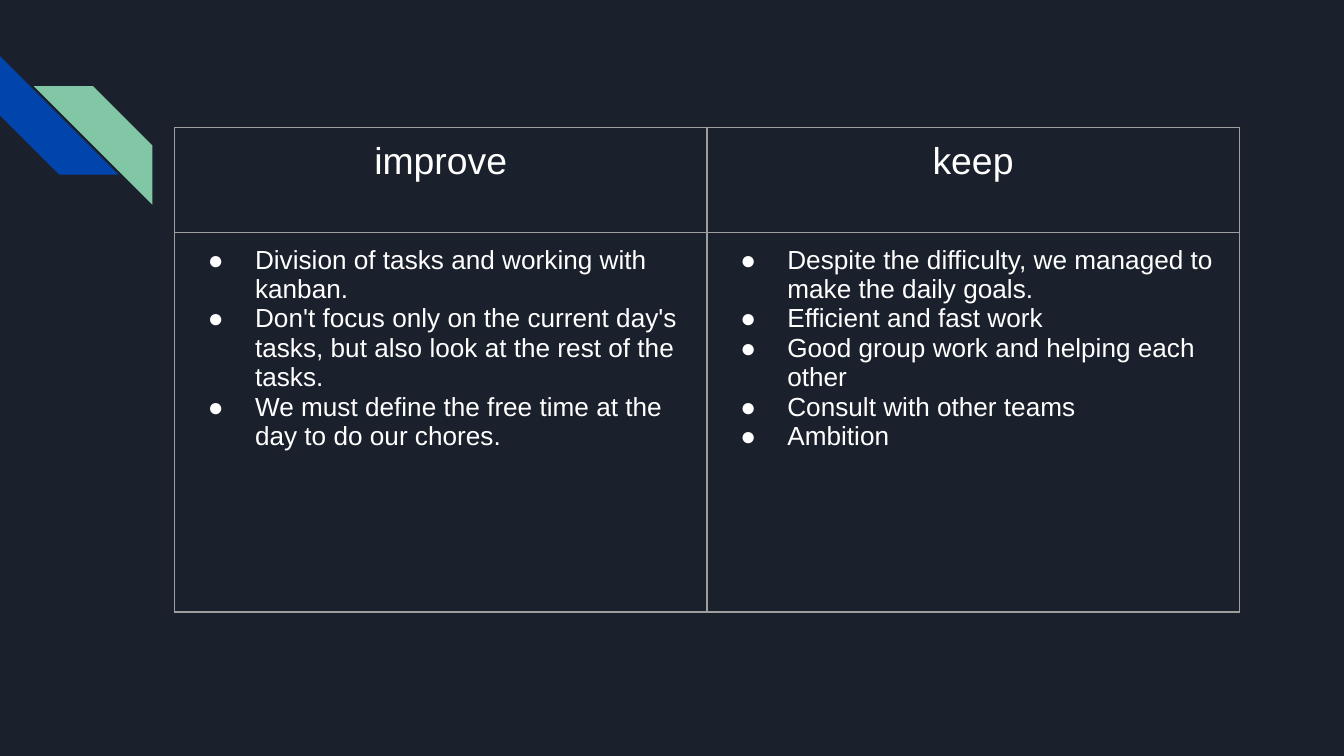
import pptx
import pptx.dml.color
import pptx.enum.shapes
import pptx.enum.text
import pptx.oxml
import pptx.oxml.ns
import pptx.util
from pptx.util import Cm

COLOURS = {
    "background": "1B212C",
    "blue": "0145AC",
    "green": "82C7A5",
    "border": "9E9E9E",
    "text": "FFFFFF",
}
FONT = "Arial"
RETROSPECTIVE = {
    "improve": [
        "Division of tasks and working with kanban.",
        "Don't focus only on the current day's tasks, but also look at the rest of the tasks.",
        "We must define the free time at the day to do our chores.",
    ],
    "keep": [
        "Despite the difficulty, we managed to make the daily goals.",
        "Efficient and fast work",
        "Good group work and helping each other",
        "Consult with other teams",
        "Ambition",
    ],
}


def colour(name):
    """Return the named colour as an RGB value."""
    return pptx.dml.color.RGBColor.from_string(COLOURS[name])


def add_element(parent, xml):
    """Append a DrawingML element written without its namespace."""
    namespace = pptx.oxml.ns.nsdecls("a")
    tag, rest = xml.split(" ", 1)
    parent.append(pptx.oxml.parse_xml(f"{tag} {namespace} {rest}"))


def add_stripes(page, left, top, size):
    """Draw the two interlocking diagonal stripes from the given corner."""
    stripes = [("blue", 0, 0, 270), ("green", 0.64, 0.57, 90)]
    for name, across, down, rotation in stripes:
        stripe = page.shapes.add_shape(
            pptx.enum.shapes.MSO_SHAPE.DIAGONAL_STRIPE,
            Cm(left + across), Cm(top + down), Cm(size), Cm(size),
        )
        stripe.rotation = rotation
        stripe.shadow.inherit = False
        stripe.fill.solid()
        stripe.fill.fore_color.rgb = colour(name)
        stripe.line.fill.background()


def style_cell(cell):
    """Give a cell thin borders, even margins and no fill."""
    properties = cell._tc.get_or_add_tcPr()
    width = pptx.util.Pt(0.75)
    for side in "LRTB":
        add_element(
            properties,
            f'<a:ln{side} w="{width}"><a:solidFill>'
            f'<a:srgbClr val="{COLOURS["border"]}"/></a:solidFill></a:ln{side}>',
        )
    cell.fill.background()
    cell.margin_left = cell.margin_right = Cm(0.25)
    cell.margin_top = cell.margin_bottom = Cm(0.25)


def style_font(para, size):
    """Set the font of a whole paragraph."""
    para.font.name = FONT
    para.font.size = pptx.util.Pt(size)
    para.font.color.rgb = colour("text")


def add_bullet(para):
    """Give a paragraph a round bullet with a hanging indent."""
    properties = para._p.get_or_add_pPr()
    properties.set("marL", str(Cm(1.27)))
    properties.set("indent", str(Cm(-0.89)))
    add_element(properties, f'<a:buClr ><a:srgbClr val="{COLOURS["text"]}"/></a:buClr>')
    add_element(properties, f'<a:buFont typeface="{FONT}"/>')
    add_element(properties, '<a:buChar char="●"/>')


def add_retrospective(page, left, top, width, row_heights):
    """Draw the table with one headed bullet list per column."""
    frame = page.shapes.add_table(
        len(row_heights), len(RETROSPECTIVE),
        Cm(left), Cm(top), Cm(width), Cm(sum(row_heights)),
    )
    table = frame.table
    table.first_row = table.horz_banding = False
    for row, height in zip(table.rows, row_heights):
        row.height = Cm(height)
    for index, (heading, items) in enumerate(RETROSPECTIVE.items()):
        table.columns[index].width = Cm(width / len(RETROSPECTIVE))
        header, body = table.cell(0, index), table.cell(1, index)
        for cell in (header, body):
            style_cell(cell)
        header.text = heading
        title = header.text_frame.paragraphs[0]
        title.alignment = pptx.enum.text.PP_ALIGN.CENTER
        style_font(title, 20)
        body.text = "\n".join(items)
        for para in body.text_frame.paragraphs:
            add_bullet(para)
            style_font(para, 14)


def main():
    """Build the slide and save it."""
    deck = pptx.Presentation()
    deck.slide_width, deck.slide_height = Cm(25.4), Cm(14.29)
    page = deck.slides.add_slide(deck.slide_layouts[6])
    page.background.fill.solid()
    page.background.fill.fore_color.rgb = colour("background")
    add_stripes(page, 0, 1.06, 2.24)
    add_retrospective(page, 3.3, 2.41, 20.12, [1.98, 7.18])
    deck.save("out.pptx")


if __name__ == "__main__":
    main()
